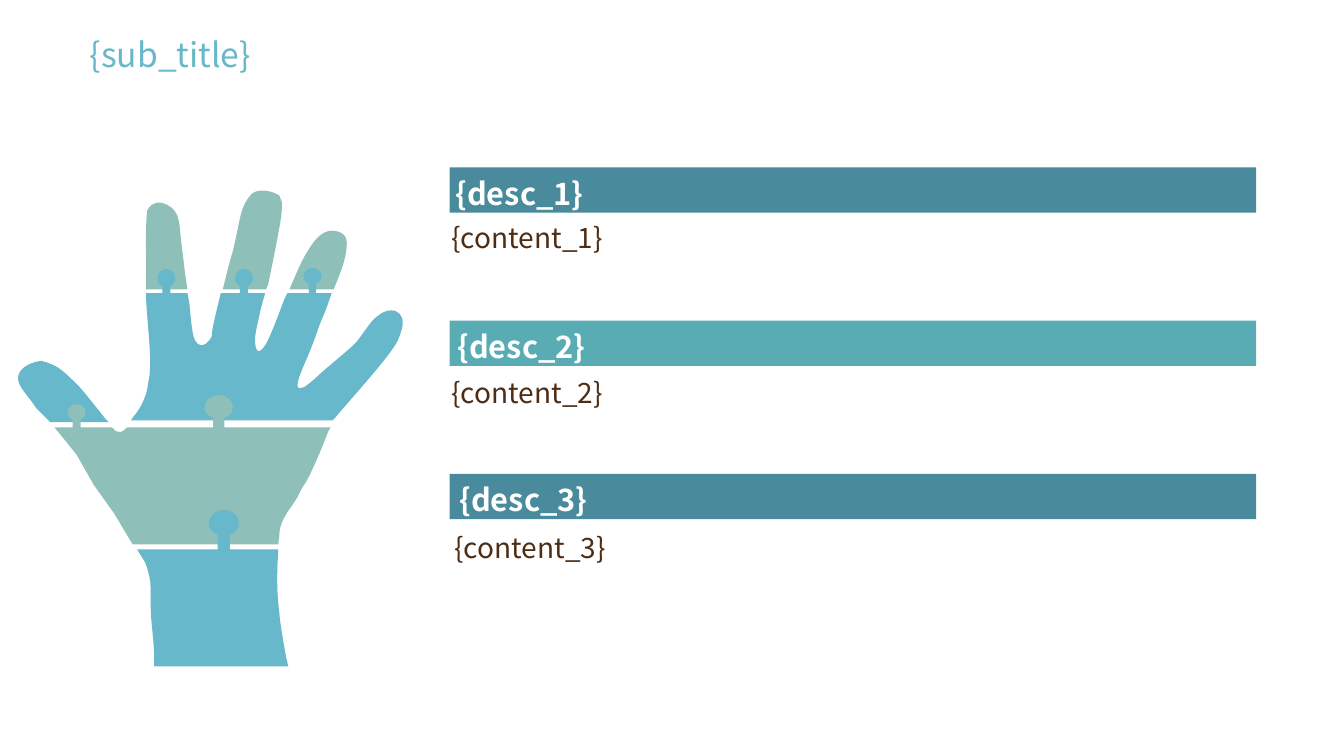
from lxml import etree
from pptx import Presentation
from pptx.dml.color import RGBColor
from pptx.enum.shapes import MSO_SHAPE as Preset
from pptx.enum.text import MSO_ANCHOR as Anchor, MSO_AUTO_SIZE as AutoSize, PP_ALIGN as Align
from pptx.oxml.ns import qn
from pptx.util import Inches, Pt

COLORS = {
    "sky": "67B8CA", "sage": "8EC0B9", "deep": "498B9C",
    "teal": "59ACB4", "brown": "4E2D15", "white": "FFFFFF",
}
FONT = "Noto Sans CJK SC"
STYLES = {
    "title": {"name": FONT, "size": Pt(24), "bold": False},
    "desc": {"name": FONT, "size": Pt(22), "bold": True},
    "content": {"name": FONT, "size": Pt(20), "bold": False},
}
ROUNDNESS = 0.55

FINGERTIPS = [
    "M 3.32 2.29 C 3.42 2.31 3.46 2.35 3.43 2.51 C 3.42 2.58 3.39 2.67 3.35 2.77 "
    "L 3.31 2.87 L 2.87 2.87 L 2.88 2.85 C 2.94 2.71 2.99 2.59 3.04 2.51 "
    "C 3.15 2.32 3.23 2.28 3.32 2.29",
    "M 1.56 2.01 C 1.62 2 1.7 2.05 1.73 2.09 C 1.79 2.16 1.78 2.29 1.81 2.5 "
    "C 1.82 2.57 1.83 2.69 1.85 2.81 L 1.86 2.87 L 1.45 2.87 L 1.45 2.79 "
    "C 1.45 2.55 1.44 2.24 1.46 2.09 C 1.48 2.04 1.52 2.02 1.56 2.01",
    "M 2.62 1.89 C 2.67 1.89 2.74 1.92 2.77 1.94 C 2.81 2.05 2.8 1.97 2.79 2.14 "
    "C 2.77 2.28 2.71 2.58 2.66 2.82 L 2.64 2.87 L 2.21 2.87 L 2.25 2.71 "
    "C 2.27 2.63 2.29 2.55 2.31 2.49 C 2.37 2.23 2.37 2.19 2.4 2.09 "
    "C 2.43 2 2.47 1.95 2.5 1.92 C 2.54 1.89 2.58 1.89 2.62 1.89",
]
FINGERS = [
    "M 0.41 3.58 C 0.58 3.63 0.6 3.66 0.73 3.78 C 0.82 3.86 0.95 4.04 1.05 4.16 "
    "L 1.08 4.19 L 0.5 4.19 L 0.36 4.05 C 0.3 3.95 0.17 3.83 0.18 3.75 "
    "C 0.18 3.67 0.27 3.6 0.41 3.58",
    "M 3.29 2.91 L 3.23 3.08 C 3.2 3.15 3.17 3.22 3.15 3.28 "
    "C 3.07 3.52 2.99 3.66 2.96 3.77 C 2.93 3.9 2.99 3.84 3.02 3.84 "
    "C 3.12 3.77 3.19 3.69 3.28 3.62 C 3.37 3.54 3.45 3.48 3.53 3.4 "
    "C 3.6 3.32 3.67 3.19 3.74 3.14 C 3.85 3.05 3.93 3.08 3.96 3.11 "
    "C 3.99 3.15 4.03 3.19 3.94 3.39 C 3.86 3.54 3.54 3.89 3.32 4.15 "
    "L 3.3 4.17 L 1.3 4.17 L 1.32 4.14 C 1.4 4.05 1.46 3.92 1.47 3.8 "
    "C 1.52 3.61 1.46 3.23 1.45 2.97 L 1.45 2.91 K 1.65 2.76 0.09 0.09 0.08 2.91 "
    "L 1.86 2.91 L 1.88 3.02 C 1.89 3.14 1.9 3.23 1.91 3.29 "
    "C 1.93 3.45 2.03 3.47 2.1 3.34 C 2.1 3.27 2.14 3.12 2.18 2.95 "
    "L 2.19 2.91 K 2.42 2.76 0.09 0.09 0.08 2.91 L 2.63 2.91 L 2.59 3.05 "
    "C 2.56 3.2 2.53 3.3 2.53 3.37 C 2.53 3.45 2.55 3.56 2.64 3.41 "
    "C 2.68 3.34 2.75 3.16 2.82 2.97 L 2.85 2.91 K 3.1 2.74 0.09 0.08 0.07 2.91",
]
PALM = [
    "M 3.28 4.24 L 3.26 4.27 C 3.15 4.55 3.07 4.74 2.99 4.85 "
    "C 2.92 5.03 2.77 5.12 2.77 5.32 L 2.76 5.4 L 1.32 5.4 L 1.31 5.39 "
    "C 1.26 5.31 1.18 5.17 1.13 5.09 L 0.93 4.81 L 0.76 4.51 L 0.59 4.3 "
    "L 0.54 4.24 K 0.76 4.09 0.09 0.08 0.08 4.24 L 1.11 4.24 L 1.14 4.27 "
    "C 1.15 4.28 1.16 4.28 1.16 4.28 C 1.18 4.29 1.21 4.29 1.24 4.26 "
    "L 1.26 4.24 K 2.17 4.04 0.14 0.12 0.11 4.24",
]
WRIST = [
    "M 1.36 5.45 L 2.76 5.45 L 2.76 5.47 C 2.75 5.64 2.74 5.83 2.77 6.07 "
    "C 2.78 6.2 2.81 6.36 2.84 6.53 L 2.86 6.61 L 1.53 6.61 L 1.53 6.49 "
    "C 1.52 6.32 1.51 6.25 1.5 6.13 C 1.49 6 1.5 5.86 1.49 5.76 "
    "C 1.47 5.66 1.45 5.58 1.41 5.53",
    "M 2.16 5.45 K 2.22 5.19 0.15 0.13 0.12 5.45",
]
HAND = [(FINGERTIPS, "sage"), (FINGERS, "sky"), (PALM, "sage"), (WRIST, "sky")]
SECTIONS = [
    ("{desc_1}", "{content_1}", "deep"),
    ("{desc_2}", "{content_2}", "teal"),
    ("{desc_3}", "{content_3}", "deep"),
]


def rgb(color):
    """Return the named colour."""
    return RGBColor.from_string(COLORS[color])


def paint(shape, color):
    """Give a shape a plain fill without line or shadow."""
    shape.shadow.inherit = False
    shape.fill.solid()
    shape.fill.fore_color.rgb = rgb(color)
    shape.line.fill.background()


def write(frame, text, style, color, spacing=1.0):
    """Put one styled, left-aligned line in a text frame."""
    frame.word_wrap = True
    frame.auto_size = AutoSize.NONE
    paragraph = frame.paragraphs[0]
    paragraph.text = text
    paragraph.alignment = Align.LEFT
    paragraph.line_spacing = spacing
    for key, value in STYLES[style].items():
        setattr(paragraph.font, key, value)
    paragraph.font.color.rgb = rgb(color)


def trace_knob(x, y, radius_x, radius_y, stem, base):
    """Return the segments of a round joint on its stem, from left to right."""
    def at(across, down):
        return x + across * radius_x, y + down * radius_y

    half, neck, near = stem / 2, y + 0.9 * radius_y, ROUNDNESS
    return [
        [(x - half, base)], [(x - half, neck)], [at(-0.7, 0.7)],
        [at(-0.9, 0.5), at(-1, 0.25), at(-1, 0)],
        [at(-1, -near), at(-near, -1), at(0, -1)],
        [at(near, -1), at(1, -near), at(1, 0)],
        [at(1, 0.25), at(0.9, 0.5), at(0.7, 0.7)],
        [(x + half, neck)], [(x + half, base)],
    ]


def trace(outline):
    """Split an outline into segments of one point (line) or three (curve)."""
    segments = []
    for mark in "MLCK":
        outline = outline.replace(mark, "|" + mark)
    for command in outline.split("|")[1:]:
        mark, *numbers = command.split()
        numbers = [float(number) for number in numbers]
        if mark == "K":
            segments += trace_knob(*numbers)
        else:
            segments.append(list(zip(numbers[::2], numbers[1::2])))
    return segments


def bend(shape, segments):
    """Join the corners of each three-point segment into one curve."""
    corners = iter(list(shape._element.iter(qn("a:lnTo"))))
    for segment in segments:
        group = [next(corners) for _ in segment]
        if len(group) == 3:
            curve = etree.Element(qn("a:cubicBezTo"))
            group[0].addprevious(curve)
            for corner in group:
                curve.append(corner[0])
                corner.getparent().remove(corner)


def add_hand(slide, left, top):
    """Draw the hand from its four interlocking parts."""
    for outlines, color in HAND:
        contours = [trace(outline) for outline in outlines]
        builder = None
        for (start,), *segments in contours:
            start = [Inches(length) for length in start]
            if builder is None:
                builder = slide.shapes.build_freeform(*start, scale=1.0)
            else:
                builder.move_to(*start)
            points = [(Inches(x), Inches(y)) for segment in segments for x, y in segment]
            builder.add_line_segments(points, close=False)
        part = builder.convert_to_shape(Inches(left), Inches(top))
        bend(part, [segment for contour in contours for segment in contour[1:]])
        paint(part, color)


def add_sections(slide, left, top, width):
    """Stack the headed bars with their content lines."""
    for index, (desc, content, color) in enumerate(SECTIONS):
        bar_top = top + 1.52 * index
        bar = slide.shapes.add_shape(Preset.RECTANGLE, Inches(left), Inches(bar_top),
                                     Inches(width), Inches(0.45))
        paint(bar, color)
        heading = slide.shapes.add_textbox(Inches(left - 0.04 + 0.02 * index),
                                           Inches(bar_top + 0.02),
                                           Inches(width - 0.15), Inches(0.39))
        write(heading.text_frame, desc, "desc", "white")
        content_left = left - (0.05 if index == 2 else 0.08)
        body = slide.shapes.add_textbox(Inches(content_left), Inches(top + 0.41 + 1.54 * index),
                                        Inches(width), Inches(0.56))
        write(body.text_frame, content, "content", "brown", 1.2)


def add_title(slide, left, top, width, height):
    """Place the title in its box."""
    title = slide.shapes.title
    box = {"left": left, "top": top, "width": width, "height": height}
    for side, length in box.items():
        setattr(title, side, Inches(length))
    frame = title.text_frame
    margins = {"margin_left": 0, "margin_right": 0, "margin_top": 0.05, "margin_bottom": 0.05}
    for margin, length in margins.items():
        setattr(frame, margin, Inches(length))
    frame.vertical_anchor = Anchor.MIDDLE
    write(frame, "{sub_title}", "title", "sky")


def main():
    """Build and save the slide."""
    deck = Presentation()
    deck.slide_width, deck.slide_height = Inches(13.33), Inches(7.5)
    slide = deck.slides.add_slide(deck.slide_layouts[5])
    add_title(slide, 0.89, 0.26, 3.48, 0.55)
    add_hand(slide, 0, 0)
    add_sections(slide, 4.46, 1.66, 8)
    deck.save("out.pptx")


if __name__ == "__main__":
    main()
